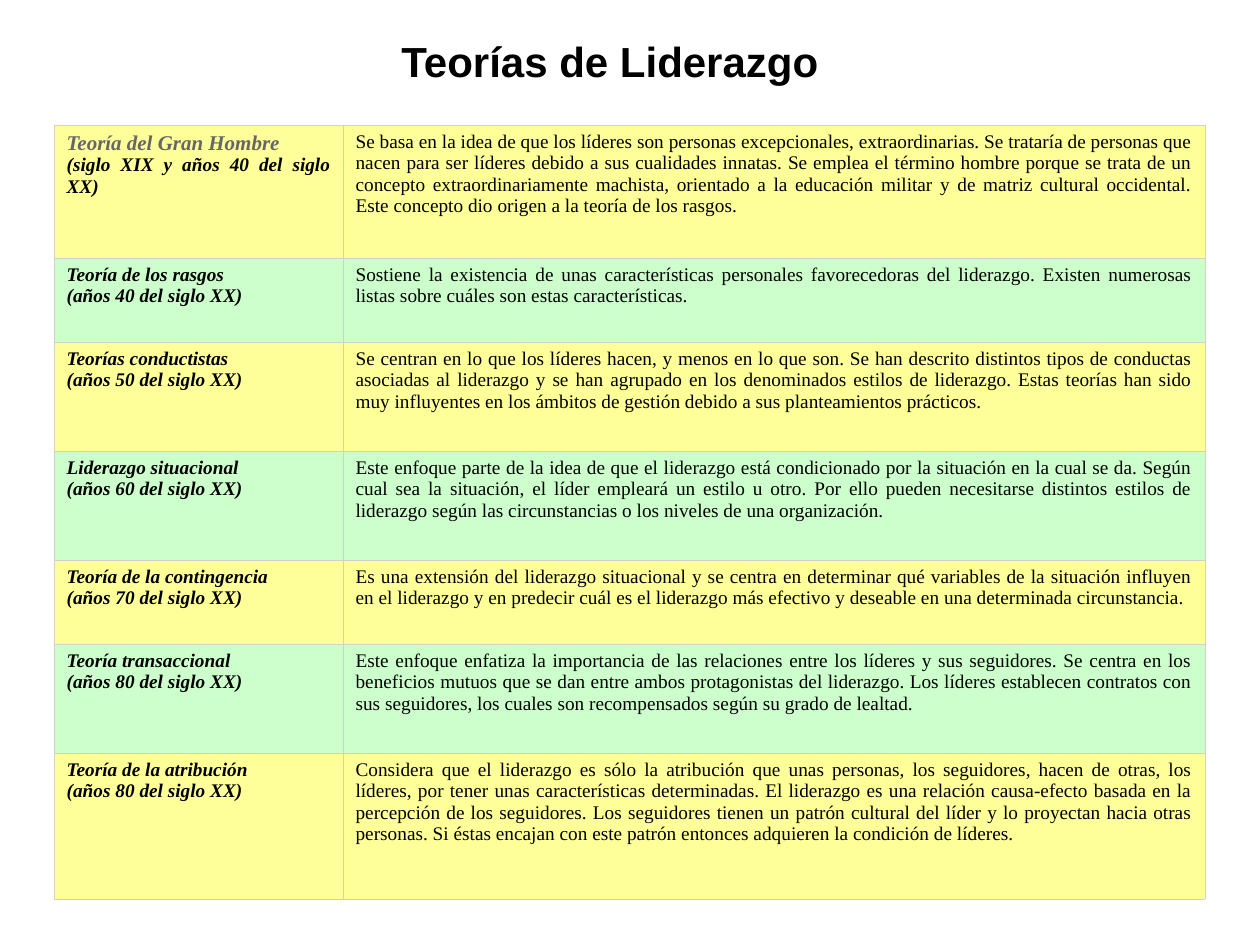
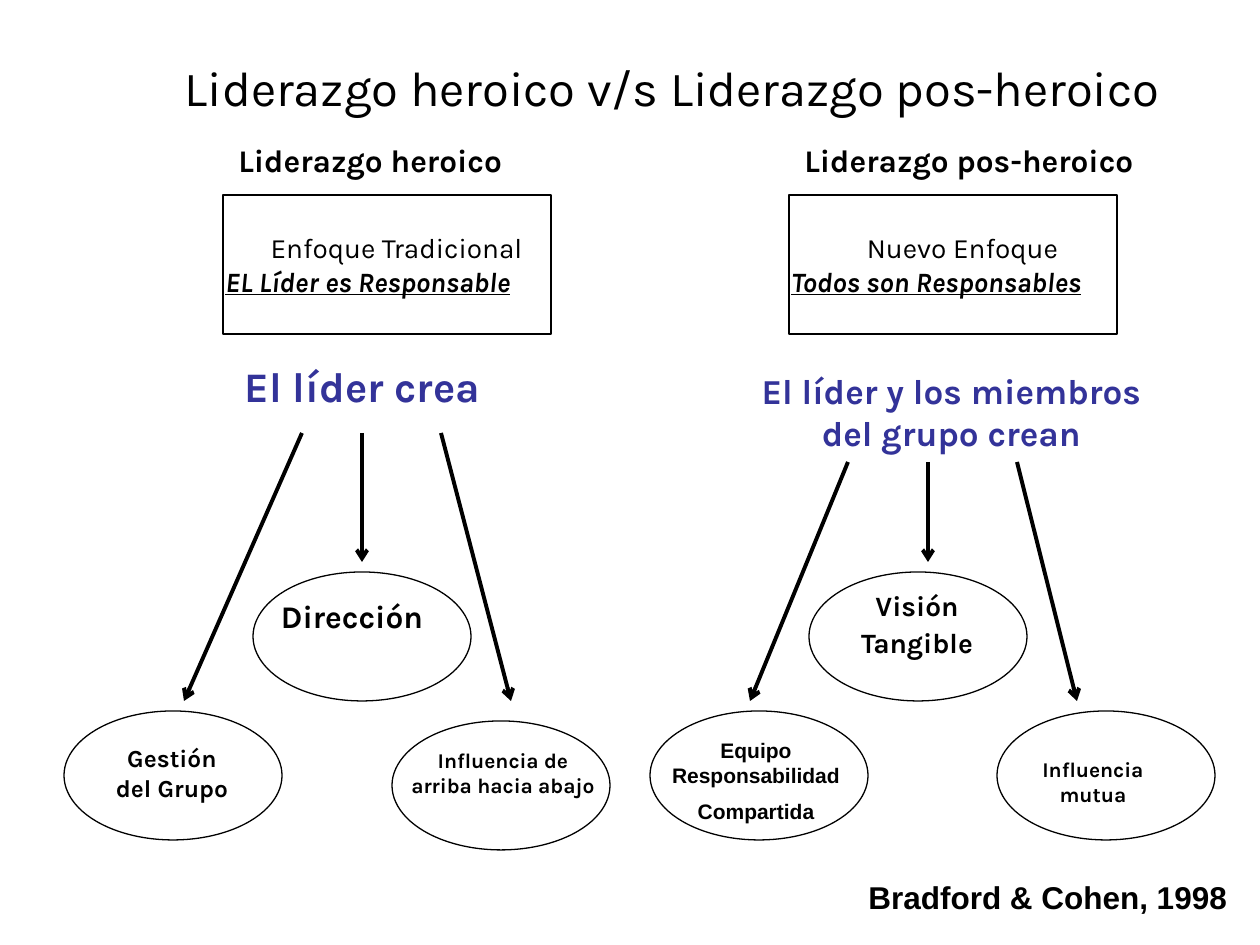
from dataclasses import dataclass

import lxml.etree
import pptx
import pptx.dml.color
import pptx.enum.shapes
import pptx.enum.text
import pptx.oxml.ns
import pptx.util

PX = 914400 / 126
ALIGN = pptx.enum.text.PP_ALIGN
ANCHOR = pptx.enum.text.MSO_ANCHOR
SHAPE = pptx.enum.shapes.MSO_SHAPE
qn = pptx.oxml.ns.qn


@dataclass(frozen=True)
class Style:
    size: float
    font: str
    bold: bool = False
    italic: bool = False
    underline: bool = False
    color: str = "000000"


class Theme:
    ink = "000000"
    bands = ("FFFF99", "CCFFCC")
    grid = "D4D0C8"
    grid_width = 0.45
    outline_width = 0.75
    arrow_width = 2.25
    table_title = Style(24, "Arial", bold=True)
    diagram_title = Style(28, "Karla")
    theory = Style(11, "Times New Roman", bold=True, italic=True)
    first_theory = Style(12, "Times New Roman", bold=True, italic=True, color="666666")
    summary = Style(11, "Times New Roman")
    heading = Style(18, "Karla", bold=True)
    approach = Style(16, "Karla")
    responsible = Style(16, "Karla", bold=True, italic=True, underline=True)
    left_claim = Style(24, "Karla", bold=True, color="333399")
    right_claim = Style(20, "Karla", bold=True, color="333399")
    citation = Style(18, "Arial", bold=True)


THEORIES = [
    (133, "Teoría del Gran Hombre\n(siglo XIX y años 40 del siglo XX)",
     "Se basa en la idea de que los líderes son personas excepcionales, extraordinarias. "
     "Se trataría de personas que nacen para ser líderes debido a sus cualidades innatas. "
     "Se emplea el término hombre porque se trata de un concepto extraordinariamente machista, "
     "orientado a la educación militar y de matriz cultural occidental. "
     "Este concepto dio origen a la teoría de los rasgos."),
    (84, "Teoría de los rasgos\n(años 40 del siglo XX)",
     "Sostiene la existencia de unas características personales favorecedoras del liderazgo. "
     "Existen numerosas listas sobre cuáles son estas características."),
    (109, "Teorías conductistas\n(años 50 del siglo XX)",
     "Se centran en lo que los líderes hacen, y menos en lo que son. Se han descrito distintos "
     "tipos de conductas asociadas al liderazgo y se han agrupado en los denominados estilos de "
     "liderazgo. Estas teorías han sido muy influyentes en los ámbitos de gestión debido a sus "
     "planteamientos prácticos."),
    (109, "Liderazgo situacional\n(años 60 del siglo XX)",
     "Este enfoque parte de la idea de que el liderazgo está condicionado por la situación en la "
     "cual se da. Según cual sea la situación, el líder empleará un estilo u otro. Por ello pueden "
     "necesitarse distintos estilos de liderazgo según las circunstancias o los niveles de una "
     "organización."),
    (84, "Teoría de la contingencia\n(años 70 del siglo XX)",
     "Es una extensión del liderazgo situacional y se centra en determinar qué variables de la "
     "situación influyen en el liderazgo y en predecir cuál es el liderazgo más efectivo y "
     "deseable en una determinada circunstancia."),
    (109, "Teoría transaccional\n(años 80 del siglo XX)",
     "Este enfoque enfatiza la importancia de las relaciones entre los líderes y sus seguidores. "
     "Se centra en los beneficios mutuos que se dan entre ambos protagonistas del liderazgo. Los "
     "líderes establecen contratos con sus seguidores, los cuales son recompensados según su grado "
     "de lealtad."),
    (146, "Teoría de la atribución\n(años 80 del siglo XX)",
     "Considera que el liderazgo es sólo la atribución que unas personas, los seguidores, hacen de "
     "otras, los líderes, por tener unas características determinadas. El liderazgo es una relación "
     "causa-efecto basada en la percepción de los seguidores. Los seguidores tienen un patrón "
     "cultural del líder y lo proyectan hacia otras personas. Si éstas encajan con este patrón "
     "entonces adquieren la condición de líderes."),
]


@dataclass(frozen=True)
class Outcome:
    text: str
    left: int
    top: int
    label_dx: int
    label_dy: int
    size: int
    font: str = "Karla"
    last_gap: int = 0


@dataclass(frozen=True)
class Approach:
    heading: str
    focus: str
    claim: str
    claim_style: Style
    claim_box: tuple
    arrow_top: int
    arrow_starts: tuple
    outcomes: tuple


HEROIC = Approach(
    "Liderazgo heroico", "Enfoque Tradicional\nEL Líder es Responsable",
    "El líder crea", Theme.left_claim, (-4, 219, 287, 63), 298, (79, 139, 218),
    (Outcome("Dirección", 30, 437, -10, 19, 18),
     Outcome("Gestión\ndel Grupo", -159, 576, -1, 26, 14),
     Outcome("Influencia de\narriba hacia abajo", 169, 586, 2, 20, 12)))
POST_HEROIC = Approach(
    "Liderazgo pos-heroico", "Nuevo Enfoque\nTodos son Responsables",
    "El líder y los miembros del grupo crean", Theme.right_claim, (-51, 228, 427, 100),
    327, (59, 139, 228),
    (Outcome("Visión\nTangible", 20, 437, -1, 10, 16, last_gap=2),
     Outcome("Equipo\nResponsabilidad\nCompartida", -139, 576, -3, 20, 12, "Arial", 6),
     Outcome("Influencia\nmutua", 208, 576, -13, 39, 12)))


def px(*lengths):
    return [pptx.util.Emu(round(length * PX)) for length in lengths]


def rgb(color):
    return pptx.dml.color.RGBColor.from_string(color)


def format_paragraph(paragraph, style, align):
    paragraph.alignment = align
    for run in paragraph.runs:
        font = run.font
        font.size = pptx.util.Pt(style.size)
        font.name = style.font
        font.bold = style.bold
        font.italic = style.italic
        font.underline = style.underline
        font.color.rgb = rgb(style.color)


def write(frame, text, style, align):
    frame.text = text
    for paragraph in frame.paragraphs:
        format_paragraph(paragraph, style, align)


def add_title(slide, box, text, style):
    title = slide.shapes.title
    title.left, title.top, title.width, title.height = px(*box)
    frame = title.text_frame
    frame.vertical_anchor = ANCHOR.MIDDLE
    frame.auto_size = pptx.enum.text.MSO_AUTO_SIZE.NONE
    write(frame, text, style, ALIGN.CENTER)


def add_text(slide, box, text, style, align=ALIGN.CENTER, wrap=True):
    frame = slide.shapes.add_textbox(*px(*box)).text_frame
    frame.word_wrap = wrap
    write(frame, text, style, align)
    return frame


def add_outline(slide, kind, box):
    outline = slide.shapes.add_shape(kind, *px(*box))
    outline.shadow.inherit = False
    outline.fill.background()
    outline.line.color.rgb = rgb(Theme.ink)
    outline.line.width = pptx.util.Pt(Theme.outline_width)


def add_arrow(slide, start, end):
    arrow = slide.shapes.add_connector(
        pptx.enum.shapes.MSO_CONNECTOR.STRAIGHT, *px(*start, *end))
    arrow.line.color.rgb = rgb(Theme.ink)
    arrow.line.width = pptx.util.Pt(Theme.arrow_width)
    lxml.etree.SubElement(arrow.line._get_or_add_ln(), qn("a:tailEnd"), type="arrow")
    lxml.etree.SubElement(arrow._element.spPr, qn("a:effectLst"))


def add_cell_borders(cell):
    properties = cell._tc.get_or_add_tcPr()
    for side in ("lnL", "lnR", "lnT", "lnB"):
        border = lxml.etree.SubElement(
            properties, qn(f"a:{side}"), w=str(pptx.util.Pt(Theme.grid_width)))
        fill = lxml.etree.SubElement(border, qn("a:solidFill"))
        lxml.etree.SubElement(fill, qn("a:srgbClr"), val=Theme.grid)


def add_theory_table(slide, left, top, widths):
    height = sum(row_height for row_height, _, _ in THEORIES)
    table = slide.shapes.add_table(
        len(THEORIES), len(widths), *px(left, top, sum(widths), height)).table
    table.first_row = table.horz_banding = False
    for column, width in zip(table.columns, px(*widths)):
        column.width = width
    for index, (row_height, theory, summary) in enumerate(THEORIES):
        row = table.rows[index]
        row.height = px(row_height)[0]
        styles = (Theme.theory, Theme.summary)
        for cell, text, style in zip(row.cells, (theory, summary), styles):
            add_cell_borders(cell)
            cell.fill.solid()
            cell.fill.fore_color.rgb = rgb(Theme.bands[index % 2])
            write(cell.text_frame, text, style, ALIGN.JUSTIFY)
    first_name = table.cell(0, 0).text_frame.paragraphs[0]
    format_paragraph(first_name, Theme.first_theory, ALIGN.JUSTIFY)


def add_outcome(slide, left, top, outcome):
    width, height = 218, 129
    x, y = left + outcome.left, top + outcome.top
    add_outline(slide, SHAPE.OVAL, (x, y, width, height))
    frame = add_text(
        slide, (x + outcome.label_dx, y + outcome.label_dy, width, height - outcome.label_dy),
        outcome.text, Style(outcome.size, outcome.font, bold=True), wrap=False)
    if outcome.last_gap:
        frame.paragraphs[-1].space_before = pptx.util.Pt(outcome.last_gap)


def add_approach(slide, left, top, approach):
    add_text(slide, (left + 3, top, 380, 50), approach.heading, Theme.heading, ALIGN.LEFT)
    add_outline(slide, SHAPE.RECTANGLE, (left, top + 60, 328, 139))
    focus = add_text(slide, (left - 10, top + 60, 367, 139), approach.focus, Theme.approach)
    focus.vertical_anchor = ANCHOR.MIDDLE
    format_paragraph(focus.paragraphs[1], Theme.responsible, ALIGN.LEFT)
    dx, dy, width, height = approach.claim_box
    add_text(slide, (left + dx, top + dy, width, height), approach.claim, approach.claim_style)
    ends = ((-39, 566), (139, 427), (288, 566))
    for start_x, (end_x, end_y) in zip(approach.arrow_starts, ends):
        add_arrow(slide, (left + start_x, top + approach.arrow_top),
                  (left + end_x, top + end_y))
    for outcome in approach.outcomes:
        add_outcome(slide, left, top, outcome)


def build_theories(slide):
    add_title(slide, (360, 29, 500, 63), "Teorías de Liderazgo", Theme.table_title)
    add_theory_table(slide, 54, 125, (289, 862))


def build_comparison(slide):
    add_title(slide, (105, 38, 1134, 97), "Liderazgo heroico v/s Liderazgo pos-heroico",
              Theme.diagram_title)
    for left, approach in ((223, HEROIC), (789, POST_HEROIC)):
        add_approach(slide, left, 135, approach)
    add_text(slide, (856, 872, 391, 50), "Bradford & Cohen, 1998", Theme.citation,
             ALIGN.LEFT, wrap=False)


def main():
    deck = pptx.Presentation()
    deck.slide_width, deck.slide_height = px(1260, 945)
    title_only = deck.slide_layouts[5]
    for build in (build_theories, build_comparison):
        build(deck.slides.add_slide(title_only))
    deck.save("out.pptx")


if __name__ == "__main__":
    main()
